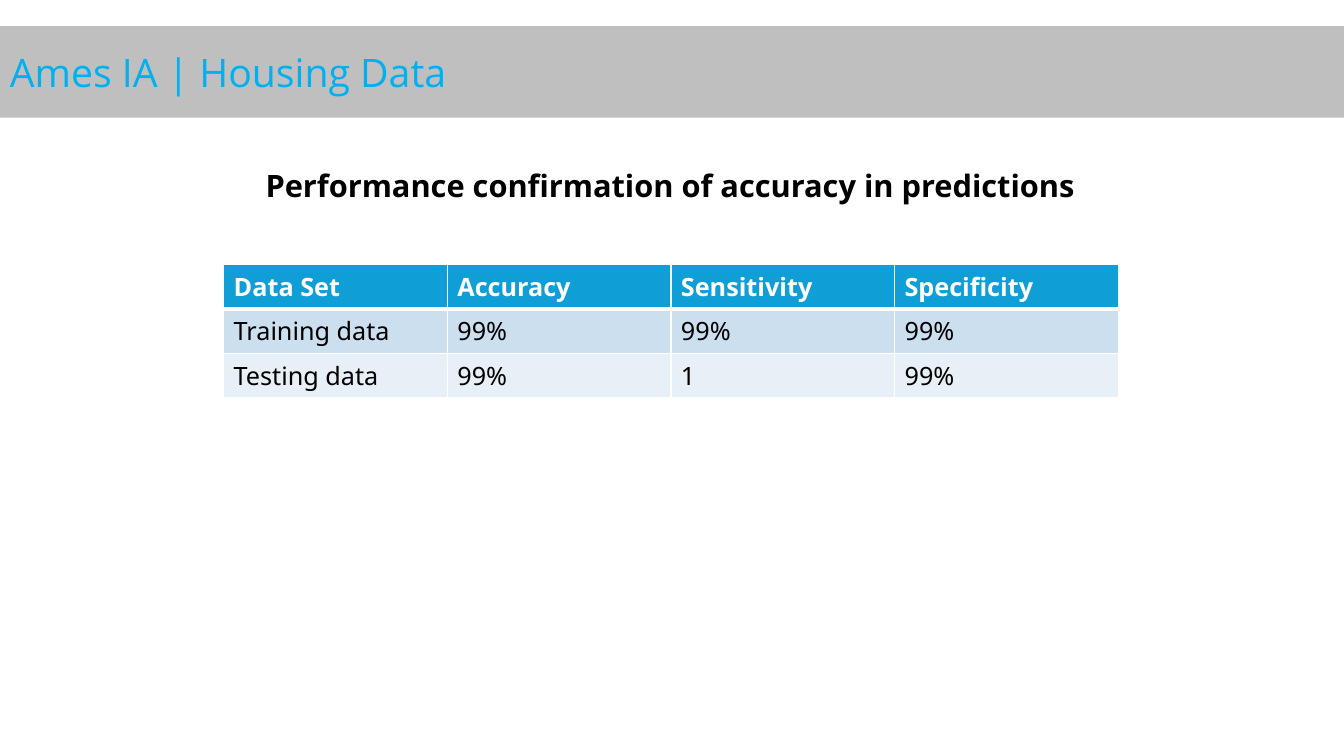
from lxml import etree
from pptx import Presentation
from pptx.dml.color import RGBColor
from pptx.enum.shapes import MSO_SHAPE
from pptx.enum.text import MSO_ANCHOR, MSO_AUTO_SIZE, PP_ALIGN
from pptx.oxml.ns import qn
from pptx.util import Emu, Pt

RECTANGLE = MSO_SHAPE.RECTANGLE
MIDDLE, BOTTOM = MSO_ANCHOR.MIDDLE, MSO_ANCHOR.BOTTOM
LEFT, CENTER = PP_ALIGN.LEFT, PP_ALIGN.CENTER
NO_AUTOFIT = MSO_AUTO_SIZE.NONE

EMU_PER_PX = 9525
WIDTH, HEIGHT = 1280, 720
TITLE_ONLY = 5

BAND_FONT, BODY_FONT = "Open Sans", "Noto Sans"
WHITE, BLACK = "FFFFFF", "000000"
BAND_GREY, BAND_BLUE = "BFBFBF", "00B0F0"
HEADER_FILL = "0F9ED5"
ROW_FILLS = ["CCDFEF", "E7F0F7"]

RESULTS = [
    ["Data Set", "Accuracy", "Sensitivity", "Specificity"],
    ["Training data", "99%", "99%", "99%"],
    ["Testing data", "99%", "1", "99%"],
]


def px(n):
    return Emu(n * EMU_PER_PX)


def rgb(color):
    return RGBColor.from_string(color)


class SlideBuilder:
    def __init__(self, prs):
        self.slide = prs.slides.add_slide(prs.slide_layouts[TITLE_ONLY])

    def set_text(self, tf, text, size, font, color, bold=False, align=LEFT):
        tf.text = text
        p = tf.paragraphs[0]
        p.alignment = align
        f = p.runs[0].font
        f.size, f.name, f.bold = Pt(size), font, bold
        f.color.rgb = rgb(color)
        return p

    def band(self, x, y, w, h, text):
        sp = self.slide.shapes.add_shape(RECTANGLE, px(x), px(y), px(w), px(h))
        sp.shadow.inherit = False
        sp.fill.solid()
        sp.fill.fore_color.rgb = rgb(BAND_GREY)
        sp.line.fill.background()
        sp.text_frame.vertical_anchor = MIDDLE
        self.set_text(sp.text_frame, text, 28, BAND_FONT, BAND_BLUE)

    def title(self, x, y, w, h, text):
        sp = self.slide.shapes.title
        sp.left, sp.top, sp.width, sp.height = px(x), px(y), px(w), px(h)
        tf = sp.text_frame
        tf.word_wrap = True
        tf.auto_size = NO_AUTOFIT
        tf.vertical_anchor = BOTTOM
        p = self.set_text(tf, text, 22, BODY_FONT, BLACK, True, CENTER)
        p.line_spacing = 0.9

    def border(self, cell, side, width):
        tc_pr = cell._tc.get_or_add_tcPr()
        ln = etree.SubElement(tc_pr, qn(f"a:ln{side}"), w=str(Pt(width)))
        fill = etree.SubElement(ln, qn("a:solidFill"))
        etree.SubElement(fill, qn("a:srgbClr"), val=WHITE)

    def table(self, x, y, col_w, row_h, rows):
        n_rows, n_cols = len(rows), len(rows[0])
        table = self.slide.shapes.add_table(
            n_rows, n_cols, px(x), px(y), px(col_w * n_cols), px(row_h * n_rows)
        ).table
        for i, row in enumerate(rows):
            table.rows[i].height = px(row_h)
            header = i == 0
            fill = HEADER_FILL if header else ROW_FILLS[(i - 1) % 2]
            for j, text in enumerate(row):
                cell = table.cell(i, j)
                # Borders precede the fill in the cell's schema order
                for side in "LRTB":
                    heavy = (side == "B" and i == 0) or (side == "T" and i == 1)
                    self.border(cell, side, 3 if heavy else 1)
                cell.fill.solid()
                cell.fill.fore_color.rgb = rgb(fill)
                color = WHITE if header else BLACK
                self.set_text(cell.text_frame, text, 18, BODY_FONT, color, header)


def main():
    prs = Presentation()
    prs.slide_width, prs.slide_height = px(WIDTH), px(HEIGHT)
    s = SlideBuilder(prs)
    s.band(0, 25, WIDTH, 87, "Ames IA | Housing Data")
    s.title(0, 153, 1284, 46, "Performance confirmation of accuracy in predictions ")
    s.table(213, 252, 213, 39, RESULTS)
    prs.save("out.pptx")


if __name__ == "__main__":
    main()
